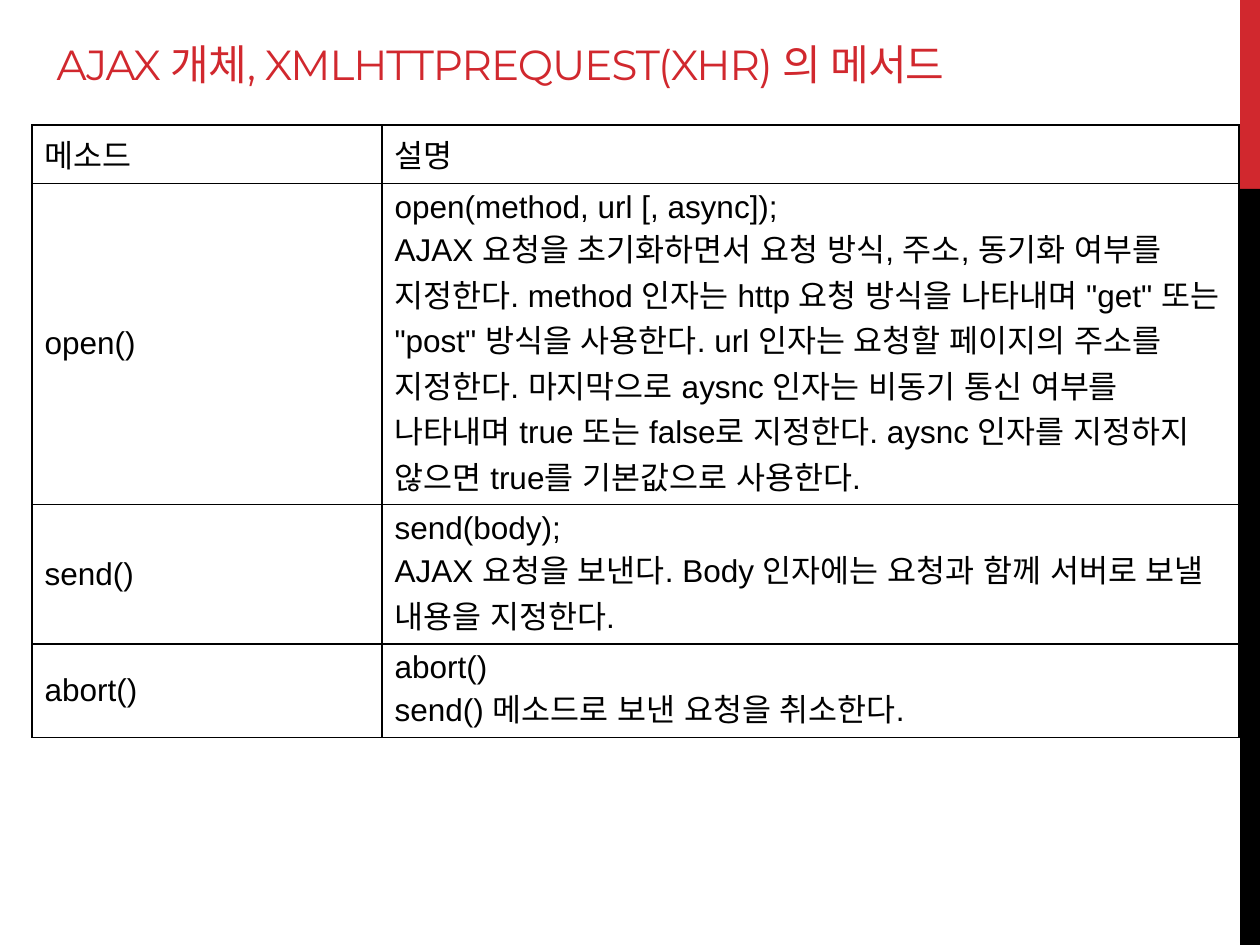
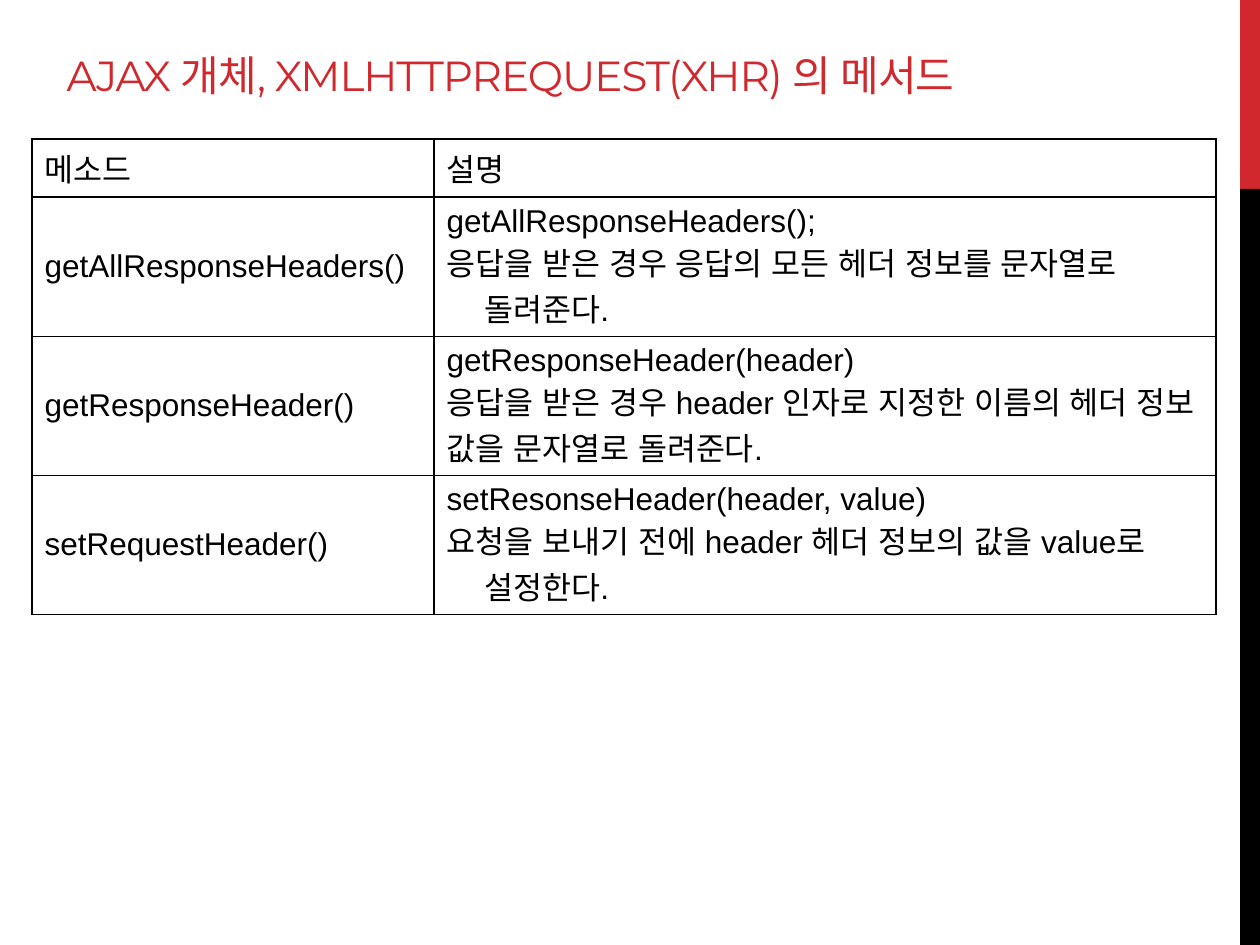
from dataclasses import dataclass

from lxml.etree import SubElement
from pptx import Presentation
from pptx.dml.color import RGBColor
from pptx.enum.lang import MSO_LANGUAGE_ID as Language
from pptx.enum.shapes import MSO_SHAPE as Shape
from pptx.enum.text import MSO_ANCHOR as Anchor, MSO_AUTO_SIZE as AutoSize, PP_ALIGN as Align
from pptx.oxml.ns import qn
from pptx.util import Emu, Pt


@dataclass(frozen=True)
class Theme:
    red: RGBColor = RGBColor(0xD1, 0x28, 0x2E)
    black: RGBColor = RGBColor(0, 0, 0)
    title_font: str = "Montserrat"
    title_size: int = 24
    title_tracking: int = -60  # hundredths of a point
    body_font: str = "Arial"
    body_size: int = 18
    border_width: int = 1


THEME = Theme()
EMU_PER_PX = 914400 / 126
SLIDE_WIDTH, SLIDE_HEIGHT = 1260, 945
BAND_LEFT, RED_BAND_HEIGHT = 1240, 189
TABLE_LEFT = 32
HANGING_INDENT = 38
TITLE = "AJAX 개체, XMLHTTPREQUEST(XHR) 의 메서드"
HEADER = ("메소드", ["설명"], True)

# Each row: method, description paragraphs, whether the description hangs
METHOD_SLIDES = [
    {
        "title_box": (44, 6, 1091, 89),
        "table_top": 125,
        "columns": [350, 857],
        "row_heights": [49, 248, 113, 79],
        "rows": [
            HEADER,
            ("open()", [
                "open(method, url [, async]);",
                "AJAX 요청을 초기화하면서 요청 방식, 주소, 동기화 여부를 지정한다. "
                "method 인자는 http 요청 방식을 나타내며 \"get\" 또는 \"post\" 방식을 사용한다. "
                "url 인자는 요청할 페이지의 주소를 지정한다. "
                "마지막으로 aysnc 인자는 비동기 통신 여부를 나타내며 true 또는 false로 지정한다. "
                "aysnc 인자를 지정하지 않으면 true를 기본값으로 사용한다.",
            ], False),
            ("send()", [
                "send(body);",
                "AJAX 요청을 보낸다. Body 인자에는 요청과 함께 서버로 보낼 내용을 지정한다.",
            ], False),
            ("abort()", [
                "abort()",
                "send() 메소드로 보낸 요청을 취소한다.",
            ], True),
        ],
    },
    {
        "title_box": (54, 6, 1081, 100),
        "table_top": 139,
        "columns": [402, 782],
        "row_heights": [49, 81, 113, 81],
        "rows": [
            HEADER,
            ("getAllResponseHeaders()", [
                "getAllResponseHeaders();",
                "응답을 받은 경우 응답의 모든 헤더 정보를 문자열로 돌려준다.",
            ], True),
            ("getResponseHeader()", [
                "getResponseHeader(header)",
                "응답을 받은 경우 header 인자로 지정한 이름의 헤더 정보 값을 문자열로 돌려준다.",
            ], False),
            ("setRequestHeader()", [
                "setResonseHeader(header, value)",
                "요청을 보내기 전에 header 헤더 정보의 값을 value로 설정한다.",
            ], True),
        ],
    },
]


def px(length):
    return Emu(round(length * EMU_PER_PX))


def add_run(paragraph, text, font_name, size, color):
    run = paragraph.add_run()
    run.text = text
    run.font.name = font_name
    run.font.size = Pt(size)
    run.font.color.rgb = color
    run.font.language_id = Language.KOREAN
    return run


presentation = Presentation()
presentation.slide_width = px(SLIDE_WIDTH)
presentation.slide_height = px(SLIDE_HEIGHT)
layout = presentation.slide_layouts[5]
slides = [presentation.slides.add_slide(layout) for _ in METHOD_SLIDES]

# Side bands, drawn once and moved into the shared layout
bands = [
    (0, RED_BAND_HEIGHT, THEME.red),
    (RED_BAND_HEIGHT, SLIDE_HEIGHT - RED_BAND_HEIGHT, THEME.black),
]
for band_id, (top, height, color) in enumerate(bands, start=101):
    band = slides[0].shapes.add_shape(
        Shape.RECTANGLE, px(BAND_LEFT), px(top), px(SLIDE_WIDTH - BAND_LEFT), px(height))
    band.shadow.inherit = False
    band.fill.solid()
    band.fill.fore_color.rgb = color
    band.line.fill.background()
    band.element.nvSpPr.cNvPr.set("id", str(band_id))
    layout.shapes.element.append(band.element)

for slide, content in zip(slides, METHOD_SLIDES):
    # Title
    title = slide.shapes.title
    title.left, title.top, title.width, title.height = map(px, content["title_box"])
    frame = title.text_frame
    frame.vertical_anchor = Anchor.BOTTOM
    frame.auto_size = AutoSize.NONE
    paragraph = frame.paragraphs[0]
    paragraph.alignment = Align.LEFT
    run = add_run(paragraph, TITLE, THEME.title_font, THEME.title_size, THEME.red)
    run.font._element.set("spc", str(THEME.title_tracking))

    # Method table
    columns, heights, rows = content["columns"], content["row_heights"], content["rows"]
    table = slide.shapes.add_table(
        len(rows), len(columns), px(TABLE_LEFT), px(content["table_top"]),
        px(sum(columns)), px(sum(heights))).table
    table.first_row = False
    table.horz_banding = False
    for column, width in zip(table.columns, columns):
        column.width = px(width)

    for row, height, (method, description, hangs) in zip(table.rows, heights, rows):
        row.height = px(height)
        cell_contents = [([method], True), (description, hangs)]
        for cell, (texts, hanging) in zip(row.cells, cell_contents):
            cell.vertical_anchor = Anchor.MIDDLE

            # Cell borders come before the fill
            properties = cell._tc.tcPr
            for side in ("lnL", "lnR", "lnT", "lnB"):
                border = SubElement(properties, qn(f"a:{side}"), w=str(Pt(THEME.border_width)))
                border_fill = SubElement(border, qn("a:solidFill"))
                SubElement(border_fill, qn("a:srgbClr"), val=str(THEME.black))
            cell.fill.background()

            # Cell text
            for index, text in enumerate(texts):
                frame = cell.text_frame
                paragraph = frame.add_paragraph() if index else frame.paragraphs[0]
                if hanging:
                    paragraph_properties = paragraph._p.get_or_add_pPr()
                    paragraph_properties.set("marL", str(px(HANGING_INDENT)))
                    paragraph_properties.set("indent", str(px(-HANGING_INDENT)))
                add_run(paragraph, text, THEME.body_font, THEME.body_size, THEME.black)

presentation.save("out.pptx")
